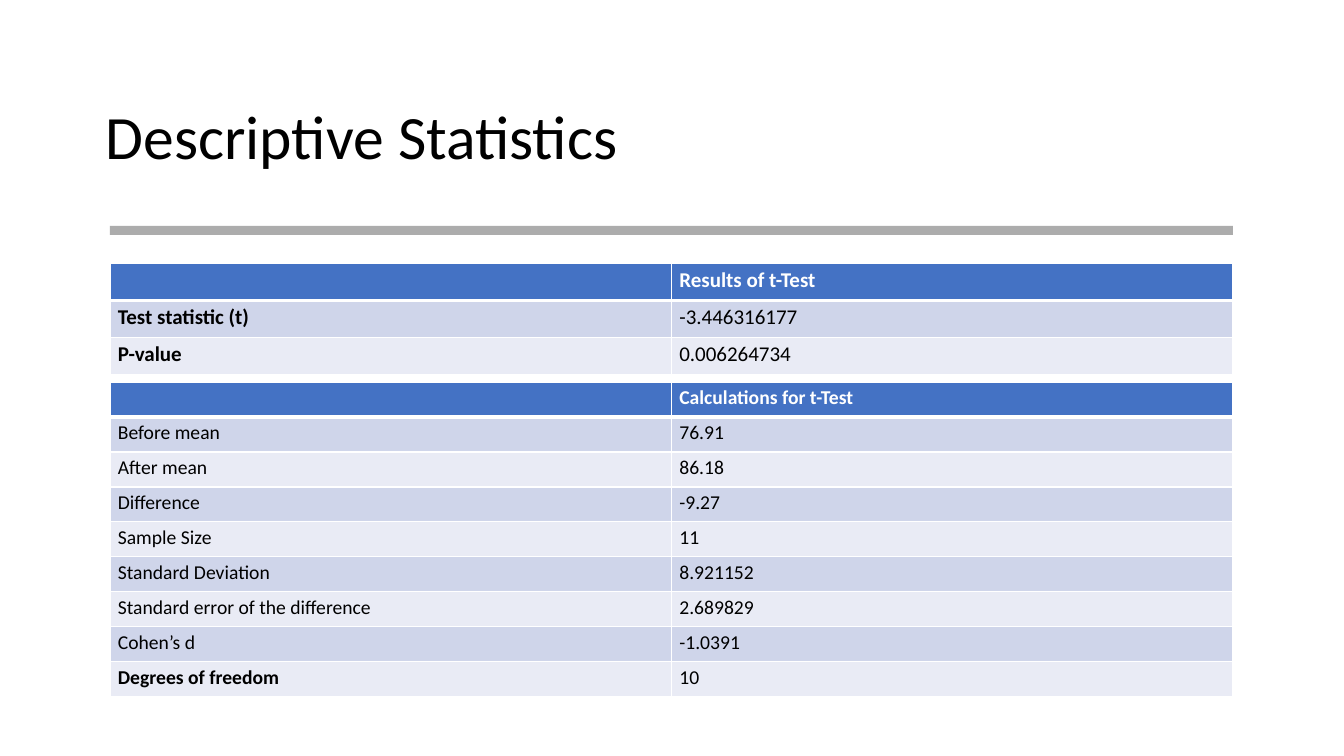
import dataclasses

import lxml.etree
import pptx
import pptx.dml.color
import pptx.enum.shapes
import pptx.enum.text
import pptx.oxml.ns
import pptx.presentation
import pptx.slide
import pptx.table
import pptx.text.text
import pptx.util
from pptx.util import Cm

FONT = "Calibri"
BLACK, WHITE, GREY = "000000", "FFFFFF", "808080"
HEADER_FILL = "4472C4"
BAND_FILLS = ("E9EBF5", "CFD5EA")
LEFT, WIDTH = Cm(2.77), Cm(28.3)


@dataclasses.dataclass
class StatisticsTable:
    heading: str
    top: float
    row_height: float
    font_size: int
    rows: list[tuple[str, str]]
    bold_labels: tuple[str, ...]


TABLES = [
    StatisticsTable(
        heading="Calculations for t-Test", top=9.63, row_height=0.88, font_size=14,
        rows=[
            ("Before mean", "76.91"),
            ("After mean", "86.18"),
            ("Difference", "-9.27"),
            ("Sample Size", "11"),
            ("Standard Deviation", "8.921152"),
            ("Standard error of the difference", "2.689829"),
            ("Cohen’s d", "-1.0391"),
            ("Degrees of freedom", "10"),
        ],
        bold_labels=("Degrees of freedom",),
    ),
    StatisticsTable(
        heading="Results of t-Test", top=6.63, row_height=0.94, font_size=15,
        rows=[
            ("Test statistic (t)", "-3.446316177"),
            ("P-value", "0.006264734"),
        ],
        bold_labels=("Test statistic (t)", "P-value"),
    ),
]


def color(value: str) -> pptx.dml.color.RGBColor:
    return pptx.dml.color.RGBColor.from_string(value)


def add_xml(parent: lxml.etree._Element, tag: str, **attributes: str) -> lxml.etree._Element:
    return lxml.etree.SubElement(parent, pptx.oxml.ns.qn(tag), attributes)


def write_text(frame: pptx.text.text.TextFrame, text: str, *, size: int,
               text_color: str = BLACK, bold: bool = False) -> None:
    paragraph = frame.paragraphs[0]
    paragraph.alignment = pptx.enum.text.PP_ALIGN.LEFT
    if not text:
        # The size of an empty cell still governs its row height.
        add_xml(paragraph._p, "a:endParaRPr", sz=str(size * 100))
        return
    run = paragraph.add_run()
    run.text = text
    run.font.name = FONT
    run.font.size = pptx.util.Pt(size)
    run.font.bold = bold
    run.font.color.rgb = color(text_color)


def add_borders(cell: pptx.table._Cell, top: int, bottom: int) -> None:
    """Draw white borders; top and bottom widths are in points."""
    properties = cell._tc.get_or_add_tcPr()
    for tag, width in (("a:lnL", 1), ("a:lnR", 1), ("a:lnT", top), ("a:lnB", bottom)):
        line = add_xml(properties, tag, w=str(pptx.util.Pt(width)))
        add_xml(add_xml(line, "a:solidFill"), "a:srgbClr", val=WHITE)


def add_title(slide: pptx.slide.Slide, text: str) -> None:
    title = slide.shapes.title
    title.left, title.top, title.width, title.height = Cm(2.41), Cm(1.68), Cm(29.03), Cm(3.68)
    title.text_frame.vertical_anchor = pptx.enum.text.MSO_ANCHOR.MIDDLE
    title.text_frame.paragraphs[0].line_spacing = 0.9
    write_text(title.text_frame, text, size=44)


def add_divider(slide: pptx.slide.Slide) -> None:
    divider = slide.shapes.add_shape(
        pptx.enum.shapes.MSO_SHAPE.RECTANGLE, LEFT, Cm(5.69), WIDTH, Cm(0.23))
    divider.shadow.inherit = False
    divider.line.fill.background()
    divider.fill.solid()
    divider.fill.fore_color.rgb = color(GREY)
    fill_color = divider._element.spPr.find(".//" + pptx.oxml.ns.qn("a:srgbClr"))
    add_xml(fill_color, "a:alpha", val="65000")


def add_statistics_table(slide: pptx.slide.Slide, statistics: StatisticsTable) -> None:
    rows = [("", statistics.heading), *statistics.rows]
    height = Cm(statistics.row_height)
    table = slide.shapes.add_table(
        len(rows), 2, LEFT, Cm(statistics.top), WIDTH, height * len(rows)).table
    for row_index, texts in enumerate(rows):
        table.rows[row_index].height = height
        is_header = row_index == 0
        for column_index, text in enumerate(texts):
            cell = table.cell(row_index, column_index)
            cell.margin_left = cell.margin_right = Cm(0.2)
            cell.margin_top = cell.margin_bottom = Cm(0.1)
            add_borders(cell, top=3 if row_index == 1 else 1, bottom=3 if is_header else 1)
            cell.fill.solid()
            cell.fill.fore_color.rgb = color(HEADER_FILL if is_header else BAND_FILLS[row_index % 2])
            write_text(cell.text_frame, text, size=statistics.font_size,
                       text_color=WHITE if is_header else BLACK,
                       bold=is_header or text in statistics.bold_labels)


def main() -> None:
    presentation = pptx.Presentation()
    presentation.slide_width, presentation.slide_height = Cm(33.87), Cm(19.05)
    slide = presentation.slides.add_slide(presentation.slide_layouts.get_by_name("Title Only"))
    add_divider(slide)
    add_title(slide, "Descriptive Statistics")
    for statistics in TABLES:
        add_statistics_table(slide, statistics)
    presentation.save("out.pptx")


if __name__ == "__main__":
    main()
